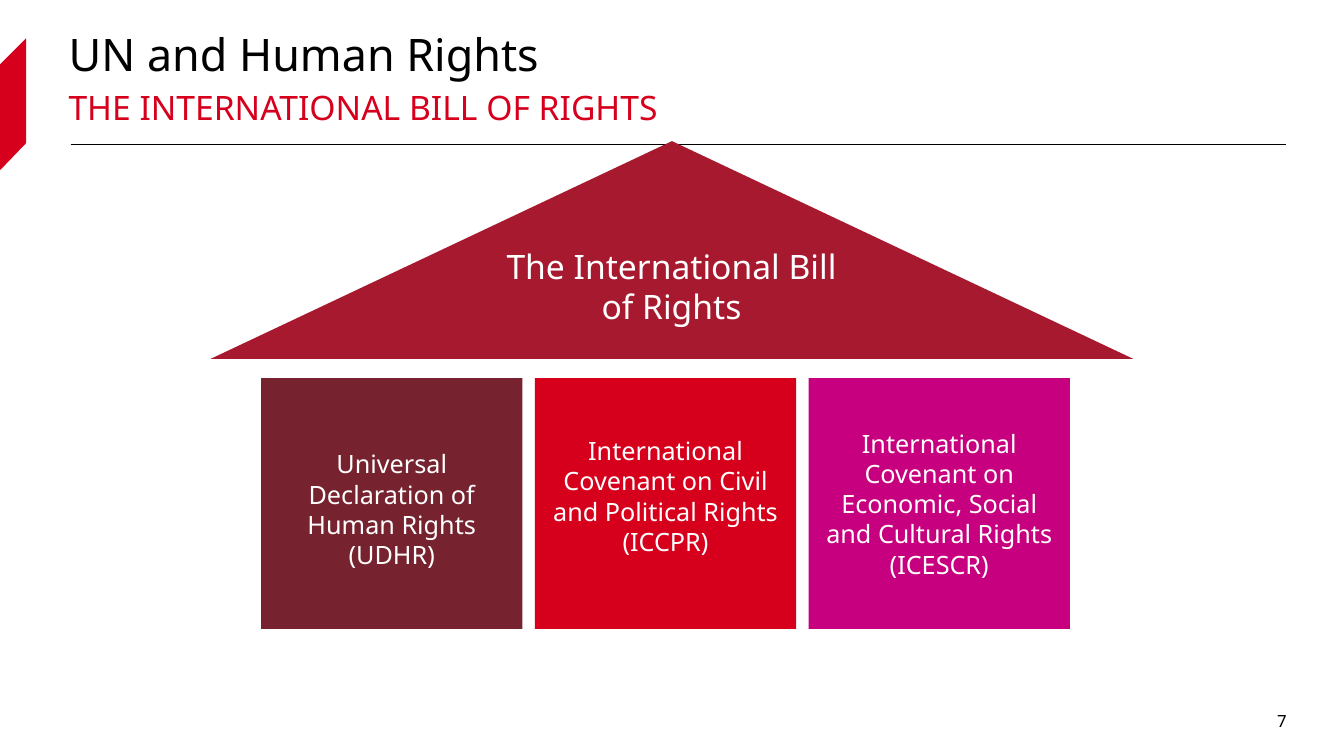
"""Build the slide on the International Bill of Rights as a house of three pillars."""
from dataclasses import dataclass

from lxml.etree import SubElement
from pptx import Presentation
from pptx.dml.color import RGBColor
from pptx.enum.shapes import MSO_CONNECTOR, MSO_SHAPE
from pptx.enum.text import MSO_ANCHOR, PP_ALIGN
from pptx.oxml.ns import qn
from pptx.util import Inches, Pt

WIDTH, HEIGHT = Inches(13.33), Inches(7.5)


@dataclass(frozen=True)
class Theme:
    font: str = "Noto Sans"
    ink: str = "000000"
    paper: str = "FFFFFF"
    red: str = "D6001C"
    roof: str = "A6192E"
    maroon: str = "76232F"
    magenta: str = "C6007E"
    title: int = 32
    heading: int = 24
    body: int = 18
    small: int = 12


THEME = Theme()
HEADING_INSETS = (0, 0.05, 0.1, 0.05)
ROOF_INSETS = (0.05, 0.03, 0.05, 0.03)
NUMBER_INSETS = (0.1, 0.05, 0, 0.05)

PILLARS = [
    ("Universal Declaration of Human Rights (UDHR)", THEME.maroon, (0.29, 0.16, 0.29, 0.05)),
    ("International Covenant on Civil and Political Rights (ICCPR)", THEME.red, (0.1, 0.05, 0.1, 0.2)),
    ("International Covenant on Economic, Social and Cultural Rights (ICESCR)", THEME.magenta,
     (0.1, 0.05, 0.1, 0.05)),
]


def across(percent):
    return round(WIDTH * percent / 100)


def down(percent):
    return round(HEIGHT * percent / 100)


def area(left, top, width, height):
    return across(left), down(top), across(width), down(height)


def write(shape, text, size, color, insets, align=PP_ALIGN.LEFT, anchor=MSO_ANCHOR.TOP):
    frame = shape.text_frame
    frame.text = text
    frame.word_wrap = True
    frame.vertical_anchor = anchor
    frame.margin_left, frame.margin_top, frame.margin_right, frame.margin_bottom = map(Inches, insets)
    paragraph = frame.paragraphs[0]
    paragraph.alignment = align
    font = paragraph.runs[0].font
    font.name, font.size = THEME.font, Pt(size)
    font.color.rgb = RGBColor.from_string(color)


def paint(shape, color):
    shape.shadow.inherit = False
    shape.fill.solid()
    shape.fill.fore_color.rgb = RGBColor.from_string(color)
    shape.line.fill.background()


def add_title(slide, text):
    title = slide.shapes.title
    title.left, title.top, title.width, title.height = area(5.1, 3.6, 73.44, 7.87)
    write(title, text, THEME.title, THEME.ink, HEADING_INSETS, anchor=MSO_ANCHOR.MIDDLE)
    title.text_frame.paragraphs[0].line_spacing = 0.9


def add_text(slide, box, *content, **layout):
    write(slide.shapes.add_textbox(*area(*box)), *content, **layout)


def add_block(slide, preset, box, color):
    shape = slide.shapes.add_shape(preset, *area(*box))
    paint(shape, color)
    return shape


def add_rule(slide):
    rule = slide.shapes.add_connector(
        MSO_CONNECTOR.STRAIGHT, across(5.25), down(19.07), across(95.72), down(19.07))
    rule.line.color.rgb = RGBColor.from_string(THEME.ink)
    rule.line.width = Pt(0.5)
    SubElement(rule._element.spPr, qn("a:effectLst"))


def add_edge_marker(slide):
    corners = [(0, 8.53), (1.95, 5.07), (1.95, 18.93), (0, 22.53)]
    points = [(across(x), down(y)) for x, y in corners]
    builder = slide.shapes.build_freeform(*points[0])
    builder.add_line_segments(points[1:], close=True)
    paint(builder.convert_to_shape(), THEME.red)


def add_pillars(slide):
    for index, (text, color, insets) in enumerate(PILLARS):
        box = (19.43 + index * 20.37, 50, 19.43, 33.2)
        pillar = add_block(slide, MSO_SHAPE.RECTANGLE, box, color)
        write(pillar, text, THEME.body, THEME.paper, insets, PP_ALIGN.CENTER, MSO_ANCHOR.MIDDLE)


def main():
    presentation = Presentation()
    presentation.slide_width, presentation.slide_height = WIDTH, HEIGHT
    slide = presentation.slides.add_slide(presentation.slide_layouts[5])
    add_rule(slide)
    add_edge_marker(slide)
    add_title(slide, "UN and Human Rights")
    add_text(slide, (5.1, 10.8, 73.44, 4.53), "THE INTERNATIONAL BILL OF RIGHTS",
             THEME.heading, THEME.red, HEADING_INSETS)
    add_block(slide, MSO_SHAPE.ISOSCELES_TRIANGLE, (15.68, 18.67, 68.64, 28.8), THEME.roof)
    add_text(slide, (35.93, 32.13, 28.06, 11.47), "The International Bill of Rights",
             THEME.heading, THEME.paper, ROOF_INSETS, align=PP_ALIGN.CENTER)
    add_pillars(slide)
    add_text(slide, (73.22, 92.67, 22.51, 5.33), "7", THEME.small, THEME.ink, NUMBER_INSETS,
             align=PP_ALIGN.RIGHT, anchor=MSO_ANCHOR.MIDDLE)
    presentation.save("out.pptx")


if __name__ == "__main__":
    main()
